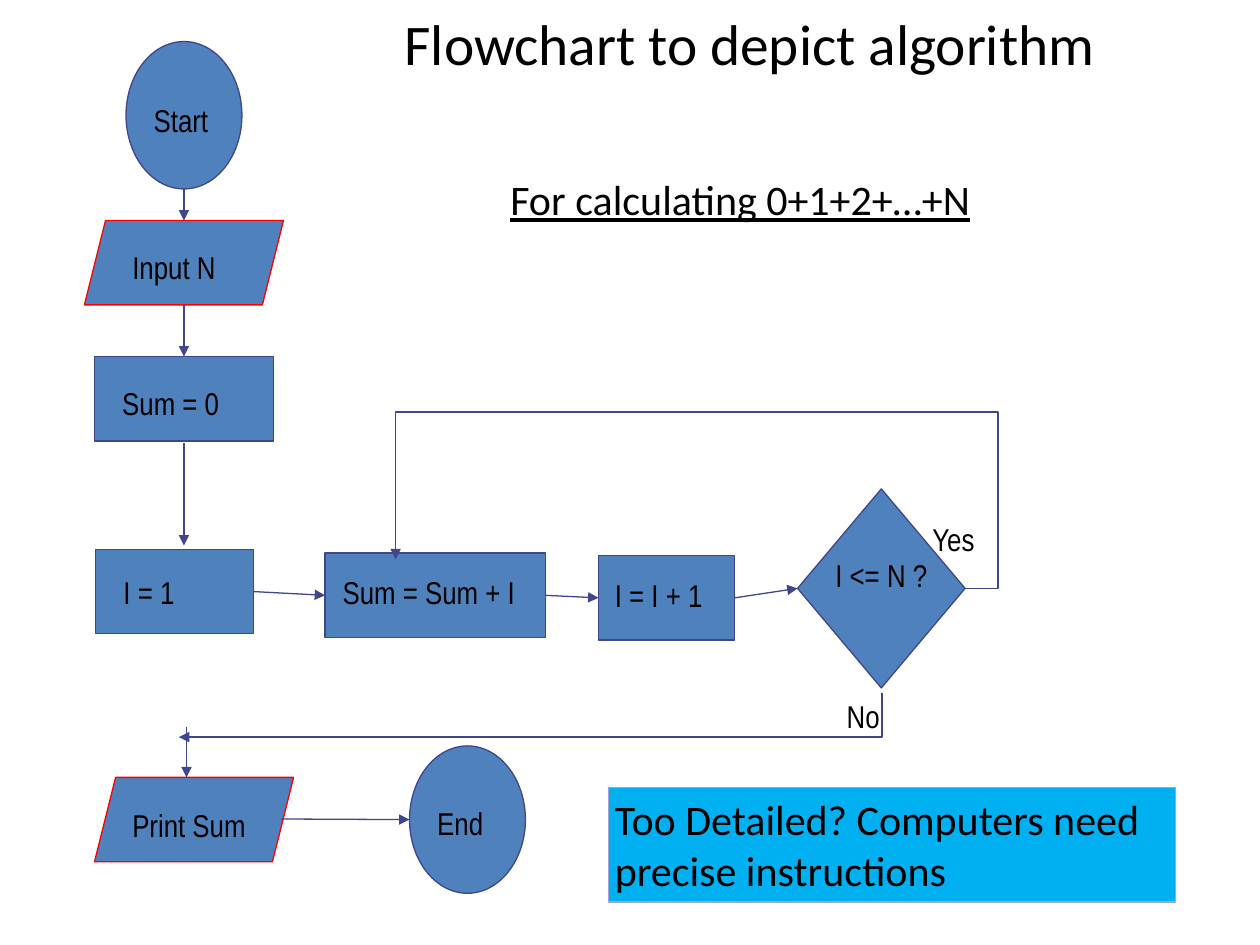
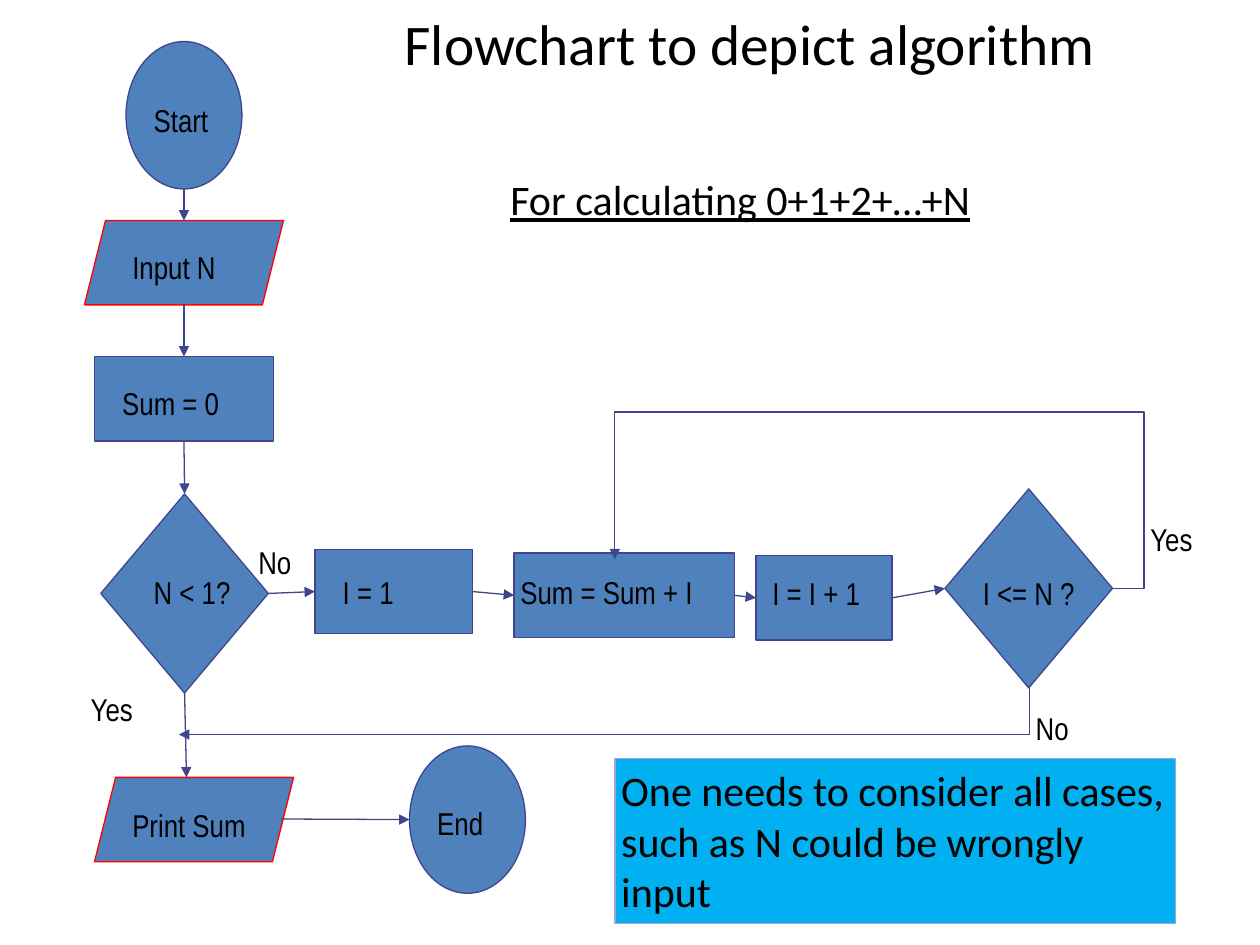
import pptx
import pptx.dml.color
import pptx.enum.shapes
import pptx.enum.text
import pptx.util
from lxml import etree
from pptx.util import Inches

COLORS = {"node": "4F81BD", "edge": "40458C", "io_edge": "FF0000",
          "callout": "00B0F0", "callout_edge": "A1A5D5", "text": "000000"}
SHAPE = pptx.enum.shapes.MSO_SHAPE
BOX, DIAMOND, OVAL, IO = (SHAPE.RECTANGLE, SHAPE.DIAMOND, SHAPE.OVAL,
                          SHAPE.PARALLELOGRAM)
ALIGN = pptx.enum.text.PP_ALIGN
TOP, LEFT, BOTTOM, RIGHT = range(4)
SIDE_POINTS = [(0.5, 0), (0, 0.5), (0.5, 1), (1, 0.5)]
RGB = pptx.dml.color.RGBColor.from_string


def write(sp, text, size=18, font="Arial Narrow", align=ALIGN.LEFT):
    """Fill a text box or shape with one top-anchored black paragraph."""
    tf = sp.text_frame
    tf.word_wrap = True
    tf.auto_size = pptx.enum.text.MSO_AUTO_SIZE.SHAPE_TO_FIT_TEXT
    tf.vertical_anchor = pptx.enum.text.MSO_ANCHOR.TOP
    tf.margin_left = tf.margin_right = Inches(0.05)
    tf.margin_top = tf.margin_bottom = Inches(0.05)
    p = tf.paragraphs[0]
    p.text = text
    p.alignment = align
    p.font.size = pptx.util.Pt(size)
    p.font.name = font
    p.font.color.rgb = RGB(COLORS["text"])
    return p


def outline(sp, color="edge", arrow=False):
    """Give a shape or connector a thin line, optionally with an arrowhead."""
    sp.line.width = pptx.util.Pt(0.75)
    sp.line.color.rgb = RGB(COLORS[color])
    if arrow:
        ln = sp.line._get_or_add_ln()
        etree.SubElement(ln, pptx.oxml.ns.qn("a:tailEnd"), type="triangle")


# Nodes: name, shape, left, top, width, height, label left, label top, label width
shared_nodes = [
    ("Start", OVAL, 1, 0.33, 0.92, 1.17, 1.17, 0.75, 0.67),
    ("Input N", IO, 0.67, 1.75, 1.58, 0.67, 1, 1.92, 1.25),
    ("Sum = 0", BOX, 0.75, 2.83, 1.42, 0.67, 0.92, 3, 1.25),
    ("Print Sum", IO, 0.75, 6.17, 1.58, 0.67, 1, 6.35, 1.5),
    ("End", OVAL, 3.25, 5.92, 0.92, 1.17, 3.42, 6.33, 0.58),
]
# Arrow ends are either (node name, side) or a point
shared_arrows = [
    (("Start", BOTTOM), ("Input N", TOP)),
    (("Input N", BOTTOM), ("Sum = 0", TOP)),
    ((2.23, 6.5), ("End", LEFT)),
    (("I = 1", RIGHT), ("Sum = Sum + I", LEFT)),
    (("Sum = Sum + I", RIGHT), ("I = I + 1", LEFT)),
    (("I = I + 1", RIGHT), ("I <= N ?", LEFT)),
]
slides = [
    {
        "nodes": [
            ("I = 1", BOX, 0.76, 4.36, 1.25, 0.67, 0.93, 4.5, 0.83),
            ("Sum = Sum + I", BOX, 2.58, 4.39, 1.75, 0.67, 2.67, 4.5, 1.67),
            ("I = I + 1", BOX, 4.75, 4.41, 1.08, 0.67, 4.83, 4.52, 1),
            ("I <= N ?", DIAMOND, 6.33, 3.88, 1.33, 1.58, 6.58, 4.36, 1.17),
        ],
        "arrows": [((1.46, 3.52), (1.46, 4.33)), ((1.48, 5.77), (1.48, 6.17))],
        "routes": [
            [(7.66, 4.67), (7.92, 4.67), (7.92, 3.27), (3.14, 3.27), (3.14, 4.44)],
            [(7, 5.5), (7, 5.85), (1.42, 5.85)],
        ],
        "answers": [("Yes", 7.35, 4.08), ("No", 6.67, 5.48)],
        "callout": ("Too Detailed? Computers need precise instructions",
                    4.83, 6.25, 4.5, 0.91),
    },
    {
        "nodes": [
            ("N < 1?", DIAMOND, 0.8, 3.92, 1.33, 1.58, 1.17, 4.5, 0.83),
            ("I = 1", BOX, 2.5, 4.36, 1.25, 0.67, 2.67, 4.5, 0.83),
            ("Sum = Sum + I", BOX, 4.08, 4.39, 1.75, 0.67, 4.08, 4.5, 1.67),
            ("I = I + 1", BOX, 6, 4.41, 1.08, 0.67, 6.08, 4.51, 1),
            ("I <= N ?", DIAMOND, 7.5, 3.88, 1.33, 1.58, 7.75, 4.51, 1.17),
        ],
        "arrows": [
            (("Sum = 0", BOTTOM), ("N < 1?", TOP)),
            (("N < 1?", BOTTOM), (1.48, 6.17)),
            (("N < 1?", RIGHT), ("I = 1", LEFT)),
        ],
        "routes": [
            [(8.83, 4.67), (9.08, 4.67), (9.08, 3.27), (4.88, 3.27), (4.88, 4.44)],
            [(8.17, 5.46), (8.17, 5.83), (1.42, 5.83)],
        ],
        "answers": [("Yes", 0.67, 5.43), ("No", 2, 4.26),
                    ("Yes", 9.08, 4.08), ("No", 8.17, 5.58)],
        "callout": ("One needs to consider all cases, such as N could be "
                    "wrongly input", 4.88, 6.02, 4.45, 1.31),
    },
]

prs = pptx.Presentation()
prs.slide_width, prs.slide_height = Inches(10), Inches(7.5)

for content in slides:
    s = prs.slides.add_slide(prs.slide_layouts[6])

    title = s.shapes.add_textbox(*map(Inches, (1.75, 0, 8.5, 0.67)))
    write(title, "Flowchart to depict algorithm ", 32.8, "Calibri", ALIGN.CENTER)
    title.text_frame.auto_size = pptx.enum.text.MSO_AUTO_SIZE.NONE
    title.text_frame.vertical_anchor = pptx.enum.text.MSO_ANCHOR.MIDDLE
    subtitle = s.shapes.add_textbox(*map(Inches, (4, 1.33, 4.92, 0.5)))
    write(subtitle, "For calculating 0+1+2+…+N", 24, "Calibri").font.underline = True

    nodes = {}
    for name, kind, *box in shared_nodes + content["nodes"]:
        sp = s.shapes.add_shape(kind, *map(Inches, box[:4]))
        sp.shadow.inherit = False
        sp.fill.solid()
        sp.fill.fore_color.rgb = RGB(COLORS["node"])
        outline(sp, "io_edge" if kind == IO else "edge")
        nodes[name] = sp

    for ends in shared_arrows + content["arrows"]:
        points, joints = [], []
        for first, second in ends:
            if first in nodes:
                sp = nodes[first]
                across, down = SIDE_POINTS[second]
                points += [int(sp.left + across * sp.width),
                           int(sp.top + down * sp.height)]
                joins = sp.auto_shape_type in (BOX, DIAMOND)
                joints.append((sp, second) if joins else None)
            else:
                points += [Inches(first), Inches(second)]
                joints.append(None)
        arrow = s.shapes.add_connector(
            pptx.enum.shapes.MSO_CONNECTOR.STRAIGHT, *points)
        for joint, connect in zip(joints, (arrow.begin_connect, arrow.end_connect)):
            if joint:
                connect(*joint)
        outline(arrow, arrow=True)
        etree.SubElement(arrow._element.spPr, pptx.oxml.ns.qn("a:effectLst"))

    for route in content["routes"]:
        start, *corners = [(Inches(x), Inches(y)) for x, y in route]
        builder = s.shapes.build_freeform(*start)
        builder.add_line_segments(corners, close=False)
        sp = builder.convert_to_shape()
        sp.shadow.inherit = False
        sp.fill.background()
        outline(sp, arrow=True)

    labels = [(name, x, y, w)
              for name, *_, x, y, w in shared_nodes + content["nodes"]]
    labels += [(answer, x, y, 0.75) for answer, x, y in content["answers"]]
    for text, x, y, w in labels:
        write(s.shapes.add_textbox(*map(Inches, (x, y, w, 0.39))), text)

    text, *box = content["callout"]
    callout = s.shapes.add_shape(BOX, *map(Inches, box))
    callout.shadow.inherit = False
    callout.fill.solid()
    callout.fill.fore_color.rgb = RGB(COLORS["callout"])
    outline(callout, "callout_edge")
    write(callout, text, 24, "Calibri")

prs.save("out.pptx")
